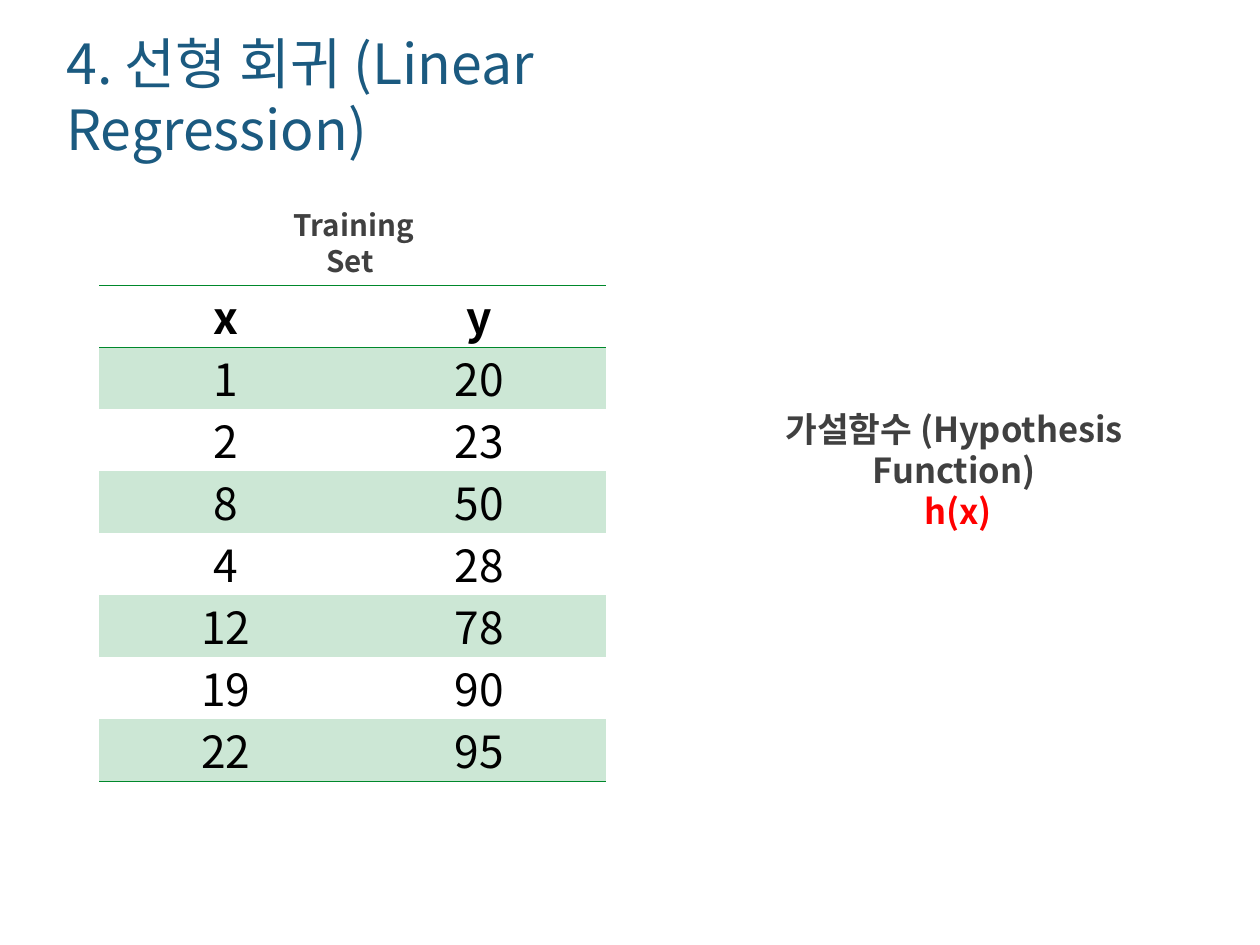
from lxml.etree import SubElement as Sub
from pptx import Presentation
from pptx.dml.color import RGBColor
from pptx.enum.text import MSO_ANCHOR as Anchor, MSO_AUTO_SIZE as AutoSize, PP_ALIGN as Align
from pptx.oxml.ns import qn
from pptx.util import Inches, Pt

FONT = "Noto Sans CJK KR"
LEADING = 1.2
WIDTH, HEIGHT = Inches(14.22), Inches(10.67)
BLUE = RGBColor(0x1B, 0x5A, 0x80)
GRAY = RGBColor(0x40, 0x40, 0x40)
RED = RGBColor(0xFF, 0x00, 0x00)
BLACK = RGBColor(0x00, 0x00, 0x00)
GREEN = RGBColor(0x00, 0x88, 0x2B)
PALE_GREEN = RGBColor(0xCC, 0xE7, 0xD5)
NO_STYLE = "{2D5ABB26-0587-4C30-8999-92F81FD0307C}"
TRAINING_SET = [("x", "y"), (1, 20), (2, 23), (8, 50), (4, 28), (12, 78), (19, 90), (22, 95)]


def place(sp, left, top, width, height):
    """Place a shape by shares of the slide's size."""
    sp.left, sp.width = int(WIDTH * left), int(WIDTH * width)
    sp.top, sp.height = int(HEIGHT * top), int(HEIGHT * height)


def write(p, text, size, color, bold=False, align=Align.CENTER, leading=LEADING):
    """Write one run into a paragraph."""
    p.alignment = align
    p.line_spacing = Pt(size * leading)
    p.space_before = p.space_after = Pt(0)
    r = p.add_run()
    r.text = text
    r.font.size, r.font.bold, r.font.name = Pt(size), bold, FONT
    r.font.color.rgb = color
    Sub(r.font._element, qn("a:ea"), typeface=FONT)


def frame(sp):
    """Give a shape's text a wrapped, vertically centred frame."""
    tf = sp.text_frame
    tf.word_wrap, tf.auto_size = True, AutoSize.NONE
    tf.vertical_anchor = Anchor.MIDDLE
    tf.margin_left = tf.margin_right = tf.margin_top = tf.margin_bottom = Inches(0.06)
    return tf


def add_title(s, text):
    """Fill and format the title placeholder."""
    sp = s.shapes.title
    place(sp, 0.0485, 0.06, 0.6146, 0.0815)
    write(frame(sp).paragraphs[0], text, 45, BLUE, align=Align.LEFT)


def add_label(s, box, size, lines):
    """Add a bold centred label with one coloured line per paragraph."""
    sp = s.shapes.add_textbox(0, 0, 0, 0)
    place(sp, *box)
    tf = frame(sp)
    for i, (text, color) in enumerate(lines):
        p = tf.add_paragraph() if i else tf.paragraphs[0]
        write(p, text, size, color, bold=True)


def add_border(cell, side):
    """Draw a thin green rule on one side of a cell."""
    ln = Sub(cell._tc.get_or_add_tcPr(), qn(f"a:{side}"), w=str(Pt(1)))
    Sub(Sub(ln, qn("a:solidFill")), qn("a:srgbClr"), val=str(GREEN))


def add_data_table(s, rows):
    """Add the table with a bold header and alternate pale rows."""
    last = len(rows) - 1
    gf = s.shapes.add_table(len(rows), len(rows[0]), Inches(1.12), Inches(3.22),
                            Inches(5.72), Inches(0.7) * len(rows))
    table = gf.table
    table.first_row = table.horz_banding = False
    table._tbl.tblPr.find(qn("a:tableStyleId")).text = NO_STYLE
    for i, row in enumerate(rows):
        for j, value in enumerate(row):
            cell = table.cell(i, j)
            cell.margin_top = cell.margin_bottom = 0
            cell.vertical_anchor = Anchor.BOTTOM
            write(cell.text_frame.paragraphs[0], str(value), 36, BLACK, bold=i == 0, leading=1.4)
            if i == 0:
                add_border(cell, "lnT")
            if i in (0, last):
                add_border(cell, "lnB")
            if i % 2:
                cell.fill.solid()
                cell.fill.fore_color.rgb = PALE_GREEN
            else:
                cell.fill.background()


def main():
    """Build the linear regression slide."""
    prs = Presentation()
    prs.slide_width, prs.slide_height = WIDTH, HEIGHT
    s = prs.slides.add_slide(prs.slide_layouts[5])
    add_title(s, "4. 선형 회귀 (Linear Regression)")
    add_label(s, (0.208, 0.2325, 0.14, 0.0485), 24, [(" Training Set", GRAY)])
    add_label(s, (0.566, 0.448, 0.3825, 0.0985), 28,
              [("가설함수 (Hypothesis Function)", GRAY), (" h(x)", RED)])
    add_data_table(s, TRAINING_SET)
    prs.save("out.pptx")


if __name__ == "__main__":
    main()
